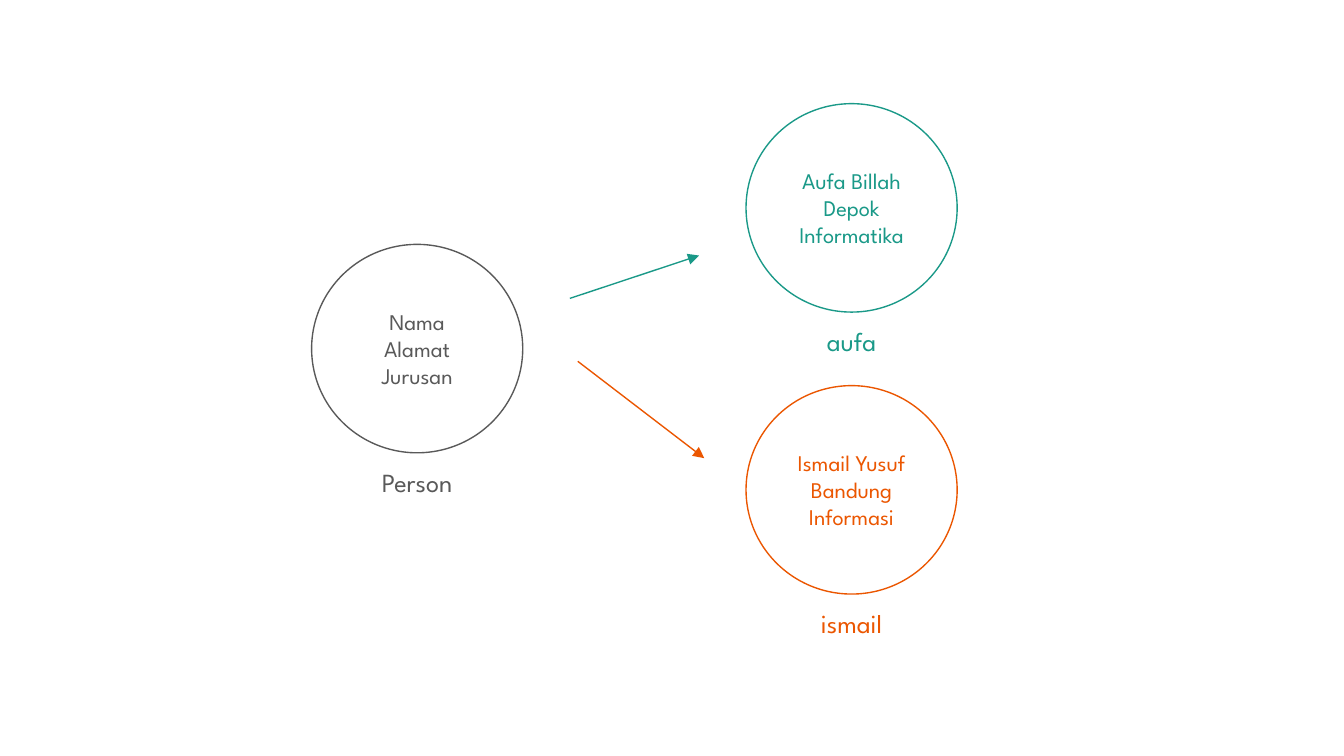
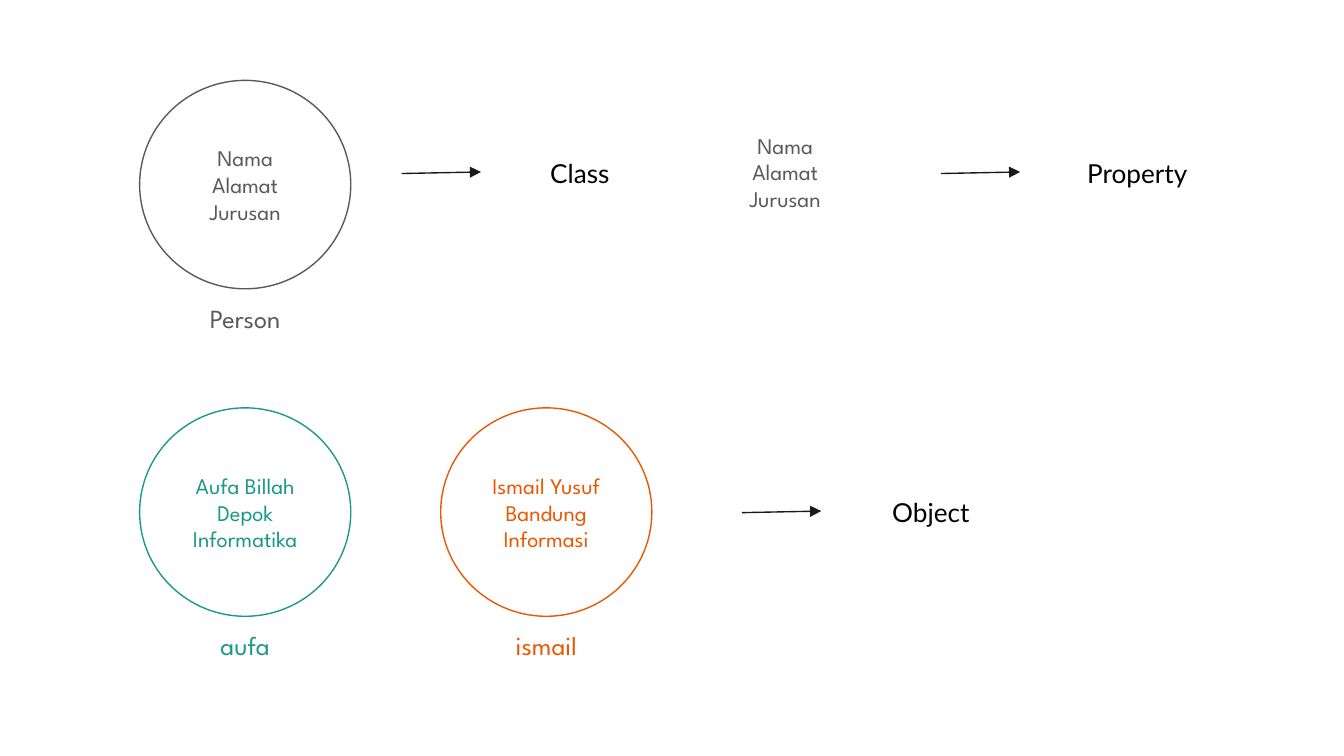
from lxml.etree import SubElement
from pptx import Presentation
from pptx.dml.color import RGBColor
from pptx.enum.shapes import MSO_CONNECTOR, MSO_SHAPE
from pptx.enum.text import MSO_ANCHOR, MSO_AUTO_SIZE, PP_ALIGN
from pptx.oxml.ns import qn
from pptx.util import Cm, Pt

COLORS = {
    "person": "595959",
    "aufa": "1A9988",
    "ismail": "EB5600",
    "arrow": "1A1A1A",
    "term": "000000",
}
ENTITY_FONT = "League Spartan"
TERM_FONT = "Lato"
ENTITIES = {
    "person": ("Person", ["Nama", "Alamat", "Jurusan"]),
    "aufa": ("aufa", ["Aufa Billah", "Depok", "Informatika"]),
    "ismail": ("ismail", ["Ismail Yusuf", "Bandung", "Informasi"]),
}
CIRCLE_W, CIRCLE_H = 3.99, 3.94
LABEL_W, LABEL_H = 2.21, 1.12
INSET = 0.25


class Deck:
    def __init__(self):
        self.prs = Presentation()
        self.prs.slide_width, self.prs.slide_height = Cm(25.4), Cm(14.29)
        self.s = None

    def new_slide(self):
        self.s = self.prs.slides.add_slide(self.prs.slide_layouts[6])

    def color(self, name):
        return RGBColor.from_string(COLORS[name])

    def fill_text(self, sp, lines, size, font, color):
        tf = sp.text_frame
        tf.word_wrap = True
        tf.margin_left = tf.margin_right = Cm(INSET)
        tf.margin_top = tf.margin_bottom = Cm(INSET)
        for i, line in enumerate(lines):
            p = tf.add_paragraph() if i else tf.paragraphs[0]
            p.alignment = PP_ALIGN.CENTER
            r = p.add_run()
            r.text = line
            r.font.size = Pt(size)
            r.font.name = font
            r.font.color.rgb = self.color(color)

    def text(self, x, y, w, h, lines, size, font, color):
        sp = self.s.shapes.add_textbox(Cm(x), Cm(y), Cm(w), Cm(h))
        self.fill_text(sp, lines, size, font, color)
        sp.text_frame.vertical_anchor = MSO_ANCHOR.TOP
        sp.text_frame.auto_size = MSO_AUTO_SIZE.SHAPE_TO_FIT_TEXT

    def entity(self, name, x, y):
        """Circle with its values, and its name centred below."""
        label, values = ENTITIES[name]
        sp = self.s.shapes.add_shape(
            MSO_SHAPE.OVAL, Cm(x), Cm(y), Cm(CIRCLE_W), Cm(CIRCLE_H))
        sp.shadow.inherit = False
        sp.fill.background()
        sp.line.color.rgb = self.color(name)
        sp.line.width = Pt(0.75)
        self.fill_text(sp, values, 12, ENTITY_FONT, name)
        sp.text_frame.vertical_anchor = MSO_ANCHOR.MIDDLE
        self.text(x + (CIRCLE_W - LABEL_W) / 2, y + CIRCLE_H, LABEL_W, LABEL_H,
                  [label], 14, ENTITY_FONT, name)

    def arrow(self, x1, y1, x2, y2, color):
        line = self.s.shapes.add_connector(
            MSO_CONNECTOR.STRAIGHT, Cm(x1), Cm(y1), Cm(x2), Cm(y2))
        line.line.color.rgb = self.color(color)
        line.line.width = Pt(0.75)
        sp_pr = line.element.spPr
        SubElement(sp_pr.find(qn("a:ln")), qn("a:tailEnd"), type="triangle")
        SubElement(sp_pr, qn("a:effectLst"))

    def term(self, x, y, w, word):
        """Short arrow starting at x, y and the term it points to."""
        self.arrow(x, y, x + 1.5, y - 0.03, "arrow")
        self.text(x + 2.47, y - 0.56, w, LABEL_H, [word], 14, TERM_FONT, "term")


def instances_slide(deck):
    deck.new_slide()
    deck.entity("person", 5.89, 4.62)
    deck.entity("aufa", 14.1, 1.96)
    deck.arrow(10.77, 5.64, 13.21, 4.83, "aufa")
    deck.entity("ismail", 14.1, 7.29)
    deck.arrow(10.92, 6.83, 13.31, 8.66, "ismail")


def terms_slide(deck):
    deck.new_slide()
    deck.entity("person", 2.64, 1.52)
    deck.term(7.59, 3.28, 1.8, "Class")
    deck.text(13.28, 2.24, 3.12, 2.06, ENTITIES["person"][1],
              12, ENTITY_FONT, "person")
    deck.term(17.78, 3.28, 2.49, "Property")
    deck.entity("aufa", 2.64, 7.71)
    deck.entity("ismail", 8.33, 7.71)
    deck.term(14.02, 9.69, LABEL_W, "Object")


def main():
    deck = Deck()
    instances_slide(deck)
    terms_slide(deck)
    deck.prs.save("out.pptx")


if __name__ == "__main__":
    main()
